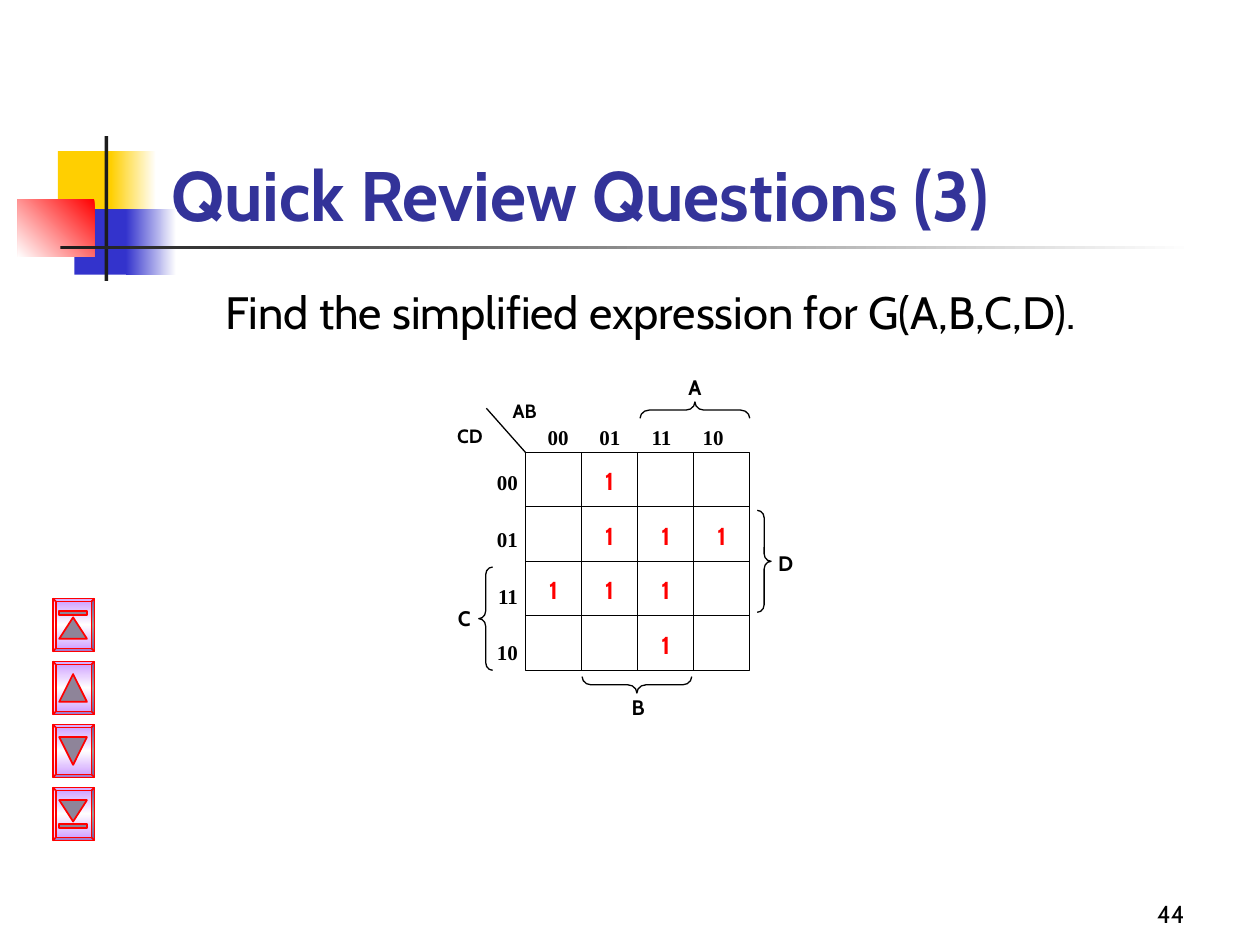
import copy

import pptx
import pptx.util
from lxml import etree
from pptx.dml.color import RGBColor
from pptx.enum.shapes import MSO_CONNECTOR, MSO_SHAPE
from pptx.enum.text import MSO_ANCHOR, PP_ALIGN
from pptx.oxml.ns import qn
from pptx.util import Inches

HUES = {
    "gold": "FFCF01", "blue": "3333CC", "red": "FF0000", "dark": "1C1C1C",
    "white": "FFFFFF", "black": "000000", "title": "333399",
    "lilac": "CC99FF", "gray": "8E8499",
}
SANS, SERIF = "Cabin", "Times New Roman"
rgb = {name: RGBColor.from_string(code) for name, code in HUES.items()}

deck = pptx.Presentation()
deck.slide_width, deck.slide_height = Inches(10), Inches(7.5)
slide = deck.slides.add_slide(deck.slide_layouts[5])


def draw(kind, box, fills=(), angle=0, line=None, width=0.75):
    """Add a preset shape: no fill, a plain fill, or an even gradient."""
    shape = slide.shapes.add_shape(kind, *map(Inches, box))
    shape.shadow.inherit = False
    if not fills:
        shape.fill.background()
    elif len(fills) == 1:
        shape.fill.solid()
        shape.fill.fore_color.rgb = rgb[fills[0]]
    else:
        shape.fill.gradient()
        shape.fill.gradient_angle = angle
        stops = shape._element.spPr.find(".//" + qn("a:gsLst"))
        while len(stops) < len(fills):
            stops.append(copy.deepcopy(stops[-1]))
        for i, stop in enumerate(shape.fill.gradient_stops):
            stop.position = i / (len(fills) - 1)
            stop.color.rgb = rgb[fills[i]]
    if line:
        shape.line.color.rgb = rgb[line]
        shape.line.width = pptx.util.Pt(width)
    else:
        shape.line.fill.background()
    return shape


def write(text, box, size, font=SANS, hue="black", bold=True,
          align=PP_ALIGN.CENTER, side=0):
    """Add a one-line text box."""
    frame = slide.shapes.add_textbox(*map(Inches, box)).text_frame
    frame.word_wrap = True
    frame.margin_left = frame.margin_right = Inches(side)
    para = frame.paragraphs[0]
    para.text = text
    para.alignment = align
    para.font.size = pptx.util.Pt(size)
    para.font.name = font
    para.font.bold = bold
    para.font.color.rgb = rgb[hue]
    return frame


# Corner blocks and rules
for box, fills, angle in [
    ((0.46, 1.2, 0.48, 0.52), ["gold"], 0),
    ((0.88, 1.2, 0.36, 0.52), ["gold", "white"], 0),
    ((0.59, 1.66, 0.46, 0.52), ["blue"], 0),
    ((1, 1.66, 0.4, 0.52), ["blue", "white"], 0),
    ((0.14, 1.58, 0.61, 0.46), ["red", "white"], 225),
    ((0.83, 1.08, 0.03, 1.15), ["dark"], 0),
    ((0.48, 1.95, 9, 0.03), ["dark", "white"], 0),
]:
    draw(MSO_SHAPE.RECTANGLE, box, fills, angle)

# Title
title = slide.shapes.title
title.left, title.top = Inches(1.26), Inches(0.67)
title.width, title.height = Inches(8.52), Inches(1.25)
title.text_frame.vertical_anchor = MSO_ANCHOR.BOTTOM
para = title.text_frame.paragraphs[0]
para.text = "Quick Review Questions (3)"
para.alignment = PP_ALIGN.LEFT
para.font.size = pptx.util.Pt(40)
para.font.name = SANS
para.font.bold = True
para.font.color.rgb = rgb["title"]

# Question and page number
write("Find the simplified expression for G(A,B,C,D).",
      (1.69, 2.21, 8.02, 1), 25.9, bold=False, align=PP_ALIGN.LEFT, side=0.1)
page = write("44", (7.42, 6.92, 2.08, 0.5), 14, bold=False,
             align=PP_ALIGN.RIGHT, side=0.1)
page.vertical_anchor = MSO_ANCHOR.BOTTOM

# Navigation buttons: arrow top, arrow height, turn, bar top
for i, (top, high, turn, bar) in enumerate([
    (0.15, 0.17, 0, 0.1),
    (0.1, 0.22, 0, None),
    (0.1, 0.22, 180, None),
    (0.1, 0.17, 180, 0.29),
]):
    y = 4.75 + 0.5 * i
    frame = draw(MSO_SHAPE.BEVEL, (0.42, y, 0.33, 0.42),
                 ["lilac", "white", "lilac"], 90, "red", 1)
    frame.adjustments[0] = 0.07
    arrow = draw(MSO_SHAPE.ISOSCELES_TRIANGLE, (0.47, y + top, 0.22, high),
                 ["gray"], line="red", width=1)
    arrow.rotation = turn
    if bar:
        draw(MSO_SHAPE.RECTANGLE, (0.47, y + bar, 0.22, 0.03),
             ["gray"], line="red", width=1)

# Karnaugh map grid
left, top, wide, high = 4.17, 3.59, 1.78, 1.73
cell, row = wide / 4, high / 4
draw(MSO_SHAPE.RECTANGLE, (left, top, wide, high), line="black")
lines = [(3.86, 3.24, left, top)]
for i in range(1, 4):
    x, y = left + cell * i, top + row * i
    lines += [(x, top, x, top + high), (left, y, left + wide, y)]
for ends in lines:
    rule = slide.shapes.add_connector(MSO_CONNECTOR.STRAIGHT,
                                      *map(Inches, ends))
    rule.line.color.rgb = rgb["black"]
    rule.line.width = pptx.util.Pt(0.75)
    etree.SubElement(rule._element.spPr, qn("a:effectLst"))

# Ones in the map
for r, marks in enumerate([" 1  ", " 111", "111 ", "  1 "]):
    for c, mark in enumerate(marks):
        if mark == "1":
            write(mark, (left + cell * c, top + row * r + 0.06, cell, 0.34),
                  14, hue="red")

# Gray code labels
for i, code in enumerate(["00", "01", "11", "10"]):
    write(code, (4.23 + 0.41 * i, 3.32, 0.4, 0.3), 12, SERIF)
    write(code, (3.82, 3.68 + 0.45 * i, 0.29, 0.3), 12, SERIF,
          align=PP_ALIGN.RIGHT)

# Variable names
for name, x, y, w, size in [
    ("AB", 3.91, 3.12, 0.51, 11),
    ("CD", 3.42, 3.32, 0.62, 11),
    ("A", 5.35, 2.92, 0.33, 12),
    ("B", 4.9, 5.46, 0.33, 12),
    ("C", 3.52, 4.76, 0.33, 12),
    ("D", 6.07, 4.32, 0.33, 12),
]:
    write(name, (x, y, w, 0.29), size)

# Braces
for kind, box, turn in [
    (MSO_SHAPE.LEFT_BRACE, (5.45, 2.82, 0.13, 0.87), 90),
    (MSO_SHAPE.LEFT_BRACE, (4.99, 5, 0.13, 0.87), 270),
    (MSO_SHAPE.LEFT_BRACE, (3.8, 4.5, 0.11, 0.82), 0),
    (MSO_SHAPE.RIGHT_BRACE, (6.01, 4.05, 0.11, 0.81), 0),
]:
    brace = draw(kind, box, line="black")
    brace.adjustments[0] = 0.55
    brace.rotation = turn

deck.save("out.pptx")
